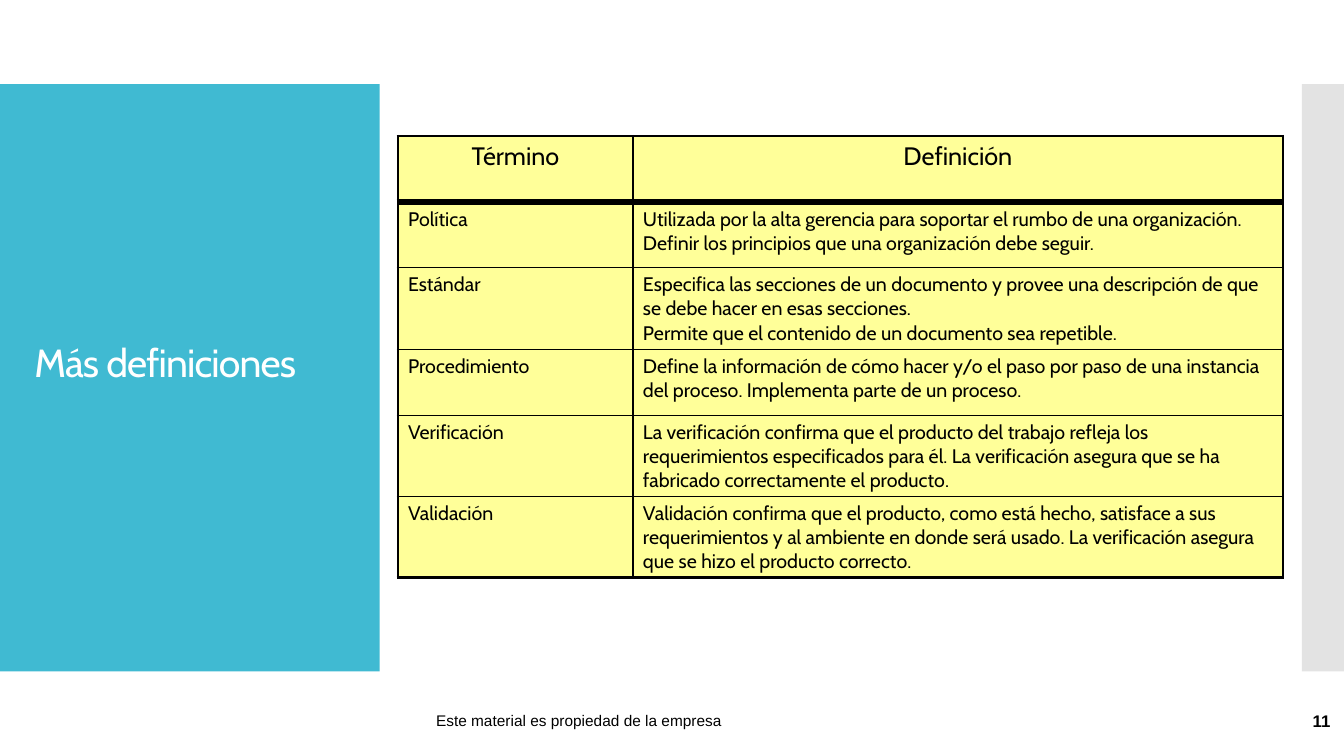
"""Build the slide "Más definiciones": a table of terms beside a title panel."""
from lxml import etree
from pptx import Presentation
from pptx.dml.color import RGBColor
from pptx.enum.shapes import MSO_SHAPE
from pptx.enum.text import MSO_ANCHOR, MSO_AUTO_SIZE, PP_ALIGN
from pptx.oxml.ns import qn
from pptx.util import Cm, Pt

RECT = MSO_SHAPE.RECTANGLE
MIDDLE = MSO_ANCHOR.MIDDLE
FIXED = MSO_AUTO_SIZE.NONE
LEFT, CENTER, RIGHT = PP_ALIGN.LEFT, PP_ALIGN.CENTER, PP_ALIGN.RIGHT
BLACK, WHITE, TEAL, GRAY, CREAM = "000000", "FFFFFF", "40BAD2", "C8C8C8", "FFFF99"
THIN, THICK, HEAVY = 1, 2.25, 4.5


def hue(code):
    return RGBColor.from_string(code)


def write(para, text, size, face, code=BLACK, bold=False):
    run = para.add_run()
    run.text = text
    font = run.font
    font.size, font.name, font.bold = Pt(size), face, bold
    font.color.rgb = hue(code)
    return run


deck = Presentation()
deck.slide_width, deck.slide_height = Cm(33.87), Cm(19.05)
slide = deck.slides.add_slide(deck.slide_layouts[5])
title = slide.shapes.title

for left, width, code, alpha in [(0, 9.57, TEAL, 100), (32.81, 1.06, GRAY, 50)]:
    panel = slide.shapes.add_shape(RECT, Cm(left), Cm(2.12), Cm(width), Cm(14.8))
    panel.shadow.inherit = False
    panel.line.fill.background()
    panel.fill.solid()
    panel.fill.fore_color.rgb = hue(code)
    if alpha < 100:
        tint = panel.element.spPr.find(".//" + qn("a:srgbClr"))
        etree.SubElement(tint, qn("a:alpha"), val=str(alpha * 1000))
    title.element.addprevious(panel.element)

title.left, title.top, title.width, title.height = Cm(0.61), Cm(8.48), Cm(8), Cm(1.4)
frame = title.text_frame
frame.auto_size, frame.word_wrap, frame.vertical_anchor = FIXED, True, MIDDLE
para = frame.paragraphs[0]
para.alignment, para.line_spacing = LEFT, 0.9
head = write(para, "Más definiciones", 28, "Cabin", WHITE)
head.font._element.set("spc", "-60")

notes = [
    (10.74, 16.41, "Este material es propiedad de la empresa", 11, LEFT, False),
    (29.54, 4.24, "11", 12, RIGHT, True),
]
for left, width, text, size, align, bold in notes:
    box = slide.shapes.add_textbox(Cm(left), Cm(17.65), Cm(width), Cm(1.02))
    frame = box.text_frame
    frame.word_wrap, frame.vertical_anchor = True, MIDDLE
    para = frame.paragraphs[0]
    para.alignment = align
    write(para, text, size, "Arial", bold=bold)

rows = [
    ("Término", ["Definición"]),
    ("Política", [
        "Utilizada por la alta gerencia para soportar el rumbo de una organización.",
        "Definir los principios que una organización debe seguir.",
    ]),
    ("Estándar", [
        "Especifica las secciones de un documento y provee una descripción de que "
        "se debe hacer en esas secciones.",
        "Permite que el contenido de un documento sea repetible.",
    ]),
    ("Procedimiento", [
        "Define la información de cómo hacer y/o el paso por paso de una instancia "
        "del proceso. Implementa parte de un proceso.",
    ]),
    ("Verificación", [
        "La verificación confirma que el producto del trabajo refleja los "
        "requerimientos especificados para él. La verificación asegura que se ha "
        "fabricado correctamente el producto.",
    ]),
    ("Validación", [
        "Validación confirma que el producto, como está hecho, satisface a sus "
        "requerimientos y al ambiente en donde será usado. La verificación asegura "
        "que se hizo el producto correcto.",
    ]),
]
tall = [1.66, 1.66, 2.06, 1.67, 2.04, 2.04]
wide = [5.92, 16.38]
across = [THICK, THIN, THICK]
down = [THICK, HEAVY, THIN, THIN, THIN, THIN, THICK]

grid = slide.shapes.add_table(
    len(rows), 2, Cm(10.03), Cm(3.43), Cm(sum(wide)), Cm(sum(tall))).table
for col, width in zip(grid.columns, wide):
    col.width = Cm(width)
for i, (term, lines) in enumerate(rows):
    grid.rows[i].height = Cm(tall[i])
    size, align = (14, LEFT) if i else (18, CENTER)
    for j, texts in enumerate([[term], lines]):
        cell = grid.cell(i, j)
        edges = {"L": across[j], "R": across[j + 1], "T": down[i], "B": down[i + 1]}
        props = cell._tc.get_or_add_tcPr()
        for side, weight in edges.items():
            edge = etree.SubElement(props, qn("a:ln" + side), w=str(Pt(weight)))
            fill = etree.SubElement(edge, qn("a:solidFill"))
            etree.SubElement(fill, qn("a:srgbClr"), val=BLACK)
        cell.fill.solid()
        cell.fill.fore_color.rgb = hue(CREAM)
        frame = cell.text_frame
        for n, text in enumerate(texts):
            para = frame.add_paragraph() if n else frame.paragraphs[0]
            para.alignment, para.space_before = align, Pt(size * 0.05)
            write(para, text, size, "Cabin")

deck.save("out.pptx")
